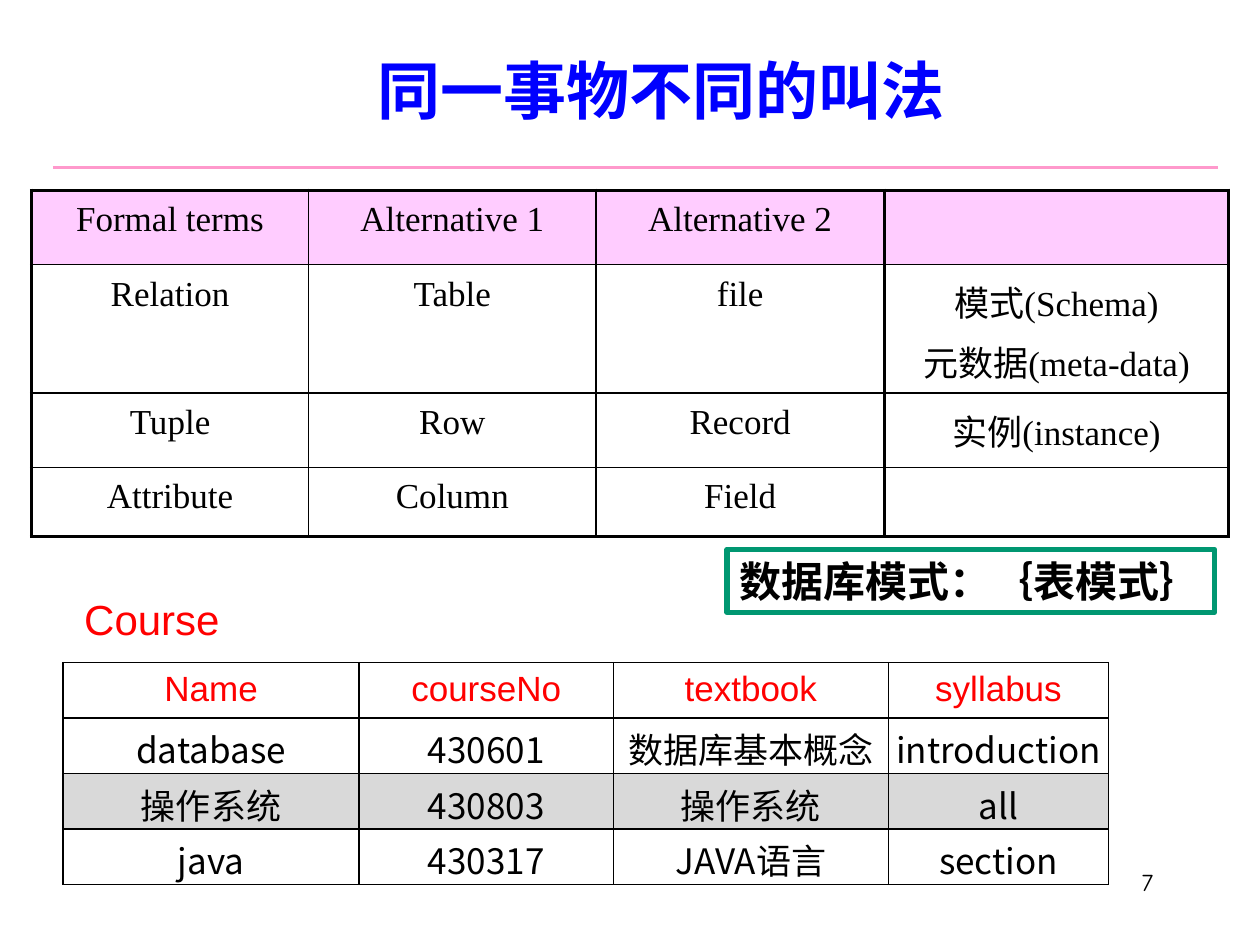
from pptx import Presentation
from pptx.dml.color import RGBColor
from pptx.enum.shapes import MSO_CONNECTOR, MSO_SHAPE
from pptx.enum.text import MSO_ANCHOR, PP_ALIGN
from pptx.oxml.ns import qn
from pptx.util import Inches, Pt
from lxml import etree

LEFT, CENTER, RIGHT = PP_ALIGN.LEFT, PP_ALIGN.CENTER, PP_ALIGN.RIGHT
TOP, MIDDLE = MSO_ANCHOR.TOP, MSO_ANCHOR.MIDDLE

# Content
TITLE = "同一事物不同的叫法"
TERMS = [
    ["Formal terms", "Alternative 1", "Alternative 2", ""],
    ["Relation", "Table", "file", "模式(Schema)\n元数据(meta-data)"],
    ["Tuple", "Row", "Record", "实例(instance)"],
    ["Attribute", "Column", "Field", ""],
]
COURSE_LABEL = "Course"
COURSES = [
    ["Name", "courseNo", "textbook", "syllabus"],
    ["database", "430601", "数据库基本概念", "introduction"],
    ["操作系统", "430803", "操作系统", "all"],
    ["java", "430317", "JAVA语言", "section"],
]
SCHEMA_NOTE = "数据库模式：｛表模式｝"
PAGE_NUMBER = "7"

THEME = {
    "black": "000000", "blue": "0000FF", "red": "FF0000", "green": "009771",
    "rule": "FF99CC", "header": "FFCCFF", "shade": "D9D9D9",
    "cjk": "Noto Sans CJK SC", "serif": "Times New Roman",
    "sans": "Arial", "number": "Comic Neue",
    "title_pt": 36, "label_pt": 24, "table_pt": 20, "number_pt": 14,
    "thin": 1, "thick": 2.25,
}


def color(name):
    return RGBColor.from_string(THEME[name])


def write(frame, text, font, size, ink, align=LEFT, bold=False, spacing=None):
    frame.text = text
    for index, paragraph in enumerate(frame.paragraphs):
        paragraph.alignment = align
        if spacing:
            paragraph.line_spacing = spacing
        if index:
            paragraph.space_before = Pt(2)
        for run in paragraph.runs:
            run.font.name = THEME[font]
            run.font.size = Pt(THEME[size])
            run.font.bold = bold
            run.font.color.rgb = color(ink)
            east_asian = etree.SubElement(run.font._element, qn("a:ea"))
            east_asian.set("typeface", THEME["cjk"])


def add_text(slide, box, text, *style, anchor=TOP, **options):
    frame = slide.shapes.add_textbox(*map(Inches, box)).text_frame
    frame.word_wrap = True
    frame.vertical_anchor = anchor
    write(frame, text, *style, **options)


def set_borders(cell, widths):
    """Widths in points: left, right, top, bottom."""
    properties = cell._tc.get_or_add_tcPr()
    for side, width in zip("LRTB", widths):
        line = etree.SubElement(properties, qn(f"a:ln{side}"), w=str(Pt(width)))
        fill = etree.SubElement(line, qn("a:solidFill"))
        etree.SubElement(fill, qn("a:srgbClr"), val=THEME["black"])


def add_grid(slide, left, top, columns, heights, rows, style_cell):
    table = slide.shapes.add_table(
        len(rows), len(columns), Inches(left), Inches(top),
        Inches(sum(columns)), Inches(sum(heights))).table
    for column, width in zip(table.columns, columns):
        column.width = Inches(width)
    for row, height in zip(table.rows, heights):
        row.height = Inches(height)
    for r, texts in enumerate(rows):
        for c, text in enumerate(texts):
            style_cell(table.cell(r, c), r, c, text)


def fill_cell(cell, name):
    if name:
        cell.fill.solid()
        cell.fill.fore_color.rgb = color(name)
    else:
        cell.fill.background()


def style_term(cell, r, c, text):
    # Thick frame, and a thick line before the last column
    last = len(TERMS) - 1
    heavy = (c in (0, last), c >= last - 1, r == 0, r == last)
    set_borders(cell, [THEME["thick" if h else "thin"] for h in heavy])
    fill_cell(cell, "header" if r == 0 else None)
    if text:
        write(cell.text_frame, text, "serif", "table_pt", "black", CENTER,
              spacing=1.1)


def style_course(cell, r, c, text):
    set_borders(cell, [THEME["thin"]] * 4)
    fill_cell(cell, "shade" if r == 2 else None)
    cell.margin_left = cell.margin_right = cell.margin_bottom = 0
    cell.margin_top = Inches(0.04 if r else 0.06)
    font, ink = ("cjk", "black") if r else ("sans", "red")
    write(cell.text_frame, text, font, "table_pt", ink, CENTER)


def main():
    deck = Presentation()
    deck.slide_width, deck.slide_height = Inches(10), Inches(7.5)
    slide = deck.slides.add_slide(deck.slide_layouts[6])

    # Title and the rule below it
    rule = slide.shapes.add_connector(
        MSO_CONNECTOR.STRAIGHT,
        Inches(0.42), Inches(1.33), Inches(9.67), Inches(1.33))
    rule.line.color.rgb = color("rule")
    rule.line.width = Pt(1.5)
    etree.SubElement(rule._element.spPr, qn("a:effectLst"))
    add_text(slide, (1, 0.17, 8.5, 1.08), TITLE, "cjk", "title_pt", "blue",
             CENTER, bold=True, anchor=MIDDLE)

    # Terms table
    add_grid(slide, 0.25, 1.51, [2.2, 2.28, 2.29, 2.73],
             [0.59, 1.02, 0.59, 0.55], TERMS, style_term)

    # Course table with its label
    add_text(slide, (0.57, 4.66, 1.83, 0.5), COURSE_LABEL, "sans", "label_pt",
             "red", anchor=MIDDLE)
    add_grid(slide, 0.5, 5.26, [2.35, 2.02, 2.18, 1.75],
             [0.44] * len(COURSES), COURSES, style_course)

    # Framed schema note
    note = slide.shapes.add_shape(
        MSO_SHAPE.RECTANGLE,
        Inches(5.77), Inches(4.36), Inches(3.87), Inches(0.5))
    note.shadow.inherit = False
    note.fill.background()
    note.line.color.rgb = color("green")
    note.line.width = Pt(3)
    frame = note.text_frame
    frame.word_wrap = False
    frame.vertical_anchor = MIDDLE
    frame.margin_top = frame.margin_bottom = 0
    write(frame, SCHEMA_NOTE, "cjk", "label_pt", "black", bold=True)

    # Page number
    add_text(slide, (7.17, 6.83, 2.08, 0.5), PAGE_NUMBER, "number",
             "number_pt", "black", RIGHT)

    deck.save("out.pptx")


if __name__ == "__main__":
    main()
